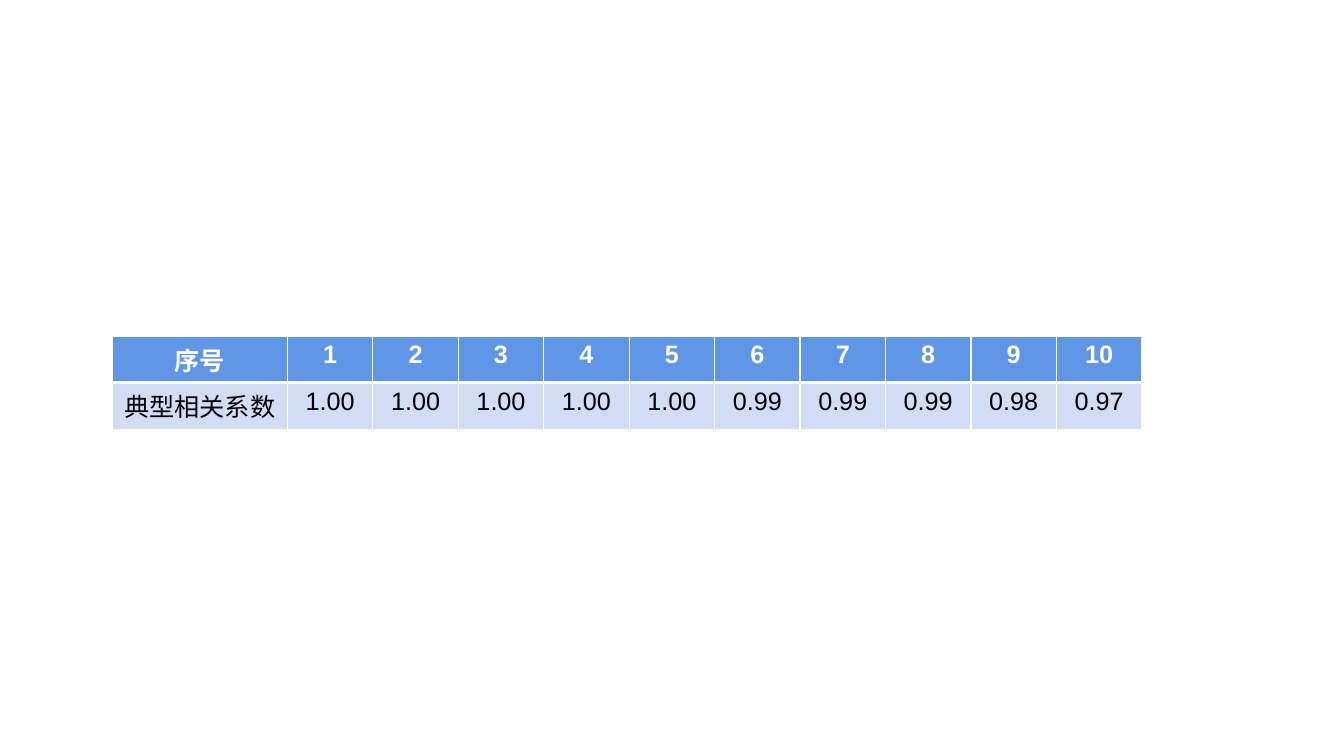
import pptx
import pptx.dml.color
import pptx.enum.text
import pptx.oxml
import pptx.oxml.ns
import pptx.util

Pt = pptx.util.Pt
RGB = pptx.dml.color.RGBColor

WHITE = RGB(0xFF, 0xFF, 0xFF)
BLACK = RGB(0, 0, 0)
BLUE = RGB(0x60, 0x96, 0xE6)
PALE = RGB(0xD2, 0xDD, 0xF5)

COEFFICIENTS = ["1.00"] * 5 + ["0.99"] * 3 + ["0.98", "0.97"]
ROWS = [
    ["序号"] + [str(n + 1) for n in range(len(COEFFICIENTS))],
    ["典型相关系数"] + COEFFICIENTS,
]
# Border widths in points; the thick line divides header and values.
STYLES = [
    {"fill": BLUE, "font": {"color": WHITE, "bold": True},
     "borders": {"L": 1, "R": 1, "T": 1, "B": 3}},
    {"fill": PALE, "font": {"color": BLACK, "bold": False},
     "borders": {"L": 1, "R": 1, "T": 3, "B": 1}},
]
LEFT, TOP = 80, 240
LABEL_WIDTH, VALUE_WIDTH, ROW_HEIGHT = 125.3, 61.03, 30


def set_borders(cell, borders):
    """Draw white lines of the given widths on the sides of a cell."""
    tcPr = cell._tc.get_or_add_tcPr()
    for side, width in borders.items():
        tcPr.append(pptx.oxml.parse_xml(
            f'<a:ln{side} {pptx.oxml.ns.nsdecls("a")} w="{Pt(width)}">'
            f'<a:solidFill><a:srgbClr val="{WHITE}"/></a:solidFill>'
            f'</a:ln{side}>'))


def fill_cell(cell, text, style):
    """Write centred text in a cell and apply its row style."""
    set_borders(cell, style["borders"])
    cell.fill.solid()
    cell.fill.fore_color.rgb = style["fill"]
    p = cell.text_frame.paragraphs[0]
    p.alignment = pptx.enum.text.PP_ALIGN.CENTER
    r = p.add_run()
    r.text = text
    r.font.color.rgb = style["font"]["color"]
    formats = {"name": "Arial", "size": Pt(18), "bold": style["font"]["bold"]}
    for name, value in formats.items():
        setattr(r.font, name, value)


def add_coefficient_table(s):
    """Add the table of canonical correlation coefficients."""
    widths = [LABEL_WIDTH] + [VALUE_WIDTH] * len(COEFFICIENTS)
    table = s.shapes.add_table(
        len(ROWS), len(widths), Pt(LEFT), Pt(TOP),
        Pt(sum(widths)), Pt(ROW_HEIGHT * len(ROWS))).table
    for column, width in zip(table.columns, widths):
        column.width = Pt(width)
    for row, texts, style in zip(table.rows, ROWS, STYLES):
        row.height = Pt(ROW_HEIGHT)
        for cell, text in zip(row.cells, texts):
            fill_cell(cell, text, style)


prs = pptx.Presentation()
prs.slide_width, prs.slide_height = Pt(960), Pt(540)
s = prs.slides.add_slide(prs.slide_layouts[6])
add_coefficient_table(s)
prs.save("out.pptx")
